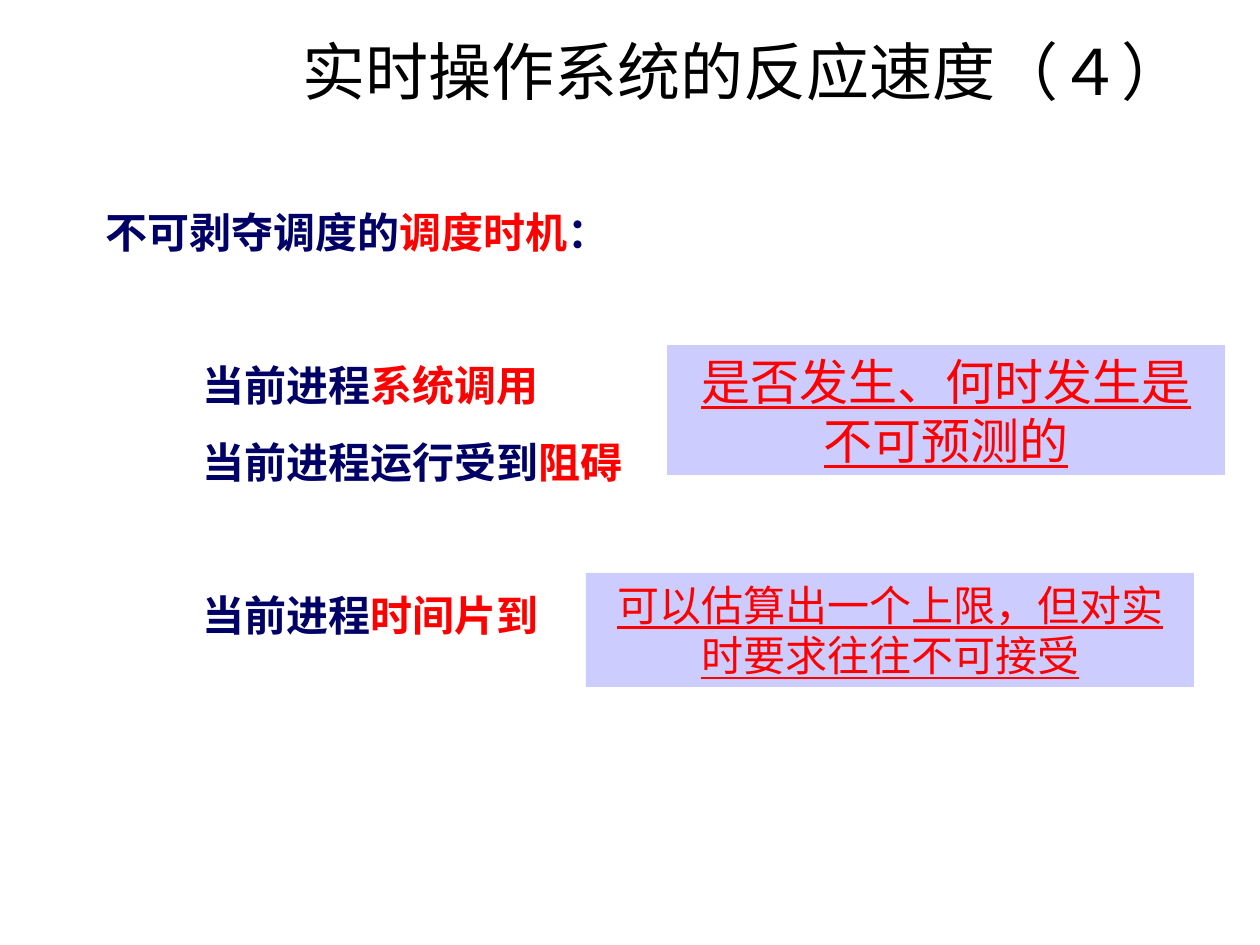
from pptx import Presentation
from pptx.dml.color import RGBColor
from pptx.enum.shapes import MSO_SHAPE
from pptx.enum.text import MSO_ANCHOR, PP_ALIGN
from pptx.util import Emu, Pt

NAVY, RED, BLACK, LAVENDER = "000066", "FF0000", "000000", "CCCCFF"


def px(length):
    return Emu(round(length * 914400 / 126))


def color(hex_code):
    return RGBColor.from_string(hex_code)


deck = Presentation()
deck.slide_width, deck.slide_height = px(1260), px(945)
page = deck.slides.add_slide(deck.slide_layouts[6])

# Title
title = page.shapes.add_textbox(px(292), px(26), px(942), px(88))
title.text_frame.word_wrap = True
title.text_frame.vertical_anchor = MSO_ANCHOR.MIDDLE
title.text_frame.margin_left = title.text_frame.margin_right = px(11)
para = title.text_frame.paragraphs[0]
para.text = "实时操作系统的反应速度（４）"
para.font.name, para.font.size = "Quicksand", Pt(36)
para.font.color.rgb = color(BLACK)

# Scheduling moments: indent in px, space before in points, coloured spans
lines = [
    (0, 15, [("不可剥夺调度的", NAVY), ("调度时机", RED), ("：", NAVY)]),
    (97, 58.7, [("当前进程", NAVY), ("系统调用", RED)]),
    (97, 15, [("当前进程运行受到", NAVY), ("阻碍", RED)]),
    (97, 58.7, [("当前进程", NAVY), ("时间片到", RED)]),
]
body = page.shapes.add_textbox(px(95), px(200), px(1071), px(650))
frame = body.text_frame
frame.word_wrap = True
frame.margin_left = frame.margin_right = px(11)
for index, (indent, space, spans) in enumerate(lines):
    para = frame.add_paragraph() if index else frame.paragraphs[0]
    para._p.get_or_add_pPr().set("marL", str(px(indent)))
    para.space_before = Pt(space)
    para.font.name, para.font.size, para.font.bold = "Arial", Pt(24), True
    for words, tint in spans:
        span = para.add_run()
        span.text = words
        span.font.color.rgb = color(tint)

# Comment boxes
comments = [
    (667, 345, 558, 130, 28, "是否发生、何时发生是不可预测的"),
    (586, 573, 608, 114, 24, "可以估算出一个上限，但对实时要求往往不可接受"),
]
for left, top, width, height, size, words in comments:
    box = page.shapes.add_shape(
        MSO_SHAPE.RECTANGLE, px(left), px(top), px(width), px(height))
    box.shadow.inherit = False
    box.fill.solid()
    box.fill.fore_color.rgb = color(LAVENDER)
    box.line.fill.background()
    box.text_frame.word_wrap = True
    box.text_frame.vertical_anchor = MSO_ANCHOR.TOP
    para = box.text_frame.paragraphs[0]
    para.text = words
    para.alignment = PP_ALIGN.CENTER
    para.font.name, para.font.size = "Times New Roman", Pt(size)
    para.font.underline = True
    para.font.color.rgb = color(RED)

deck.save("out.pptx")
